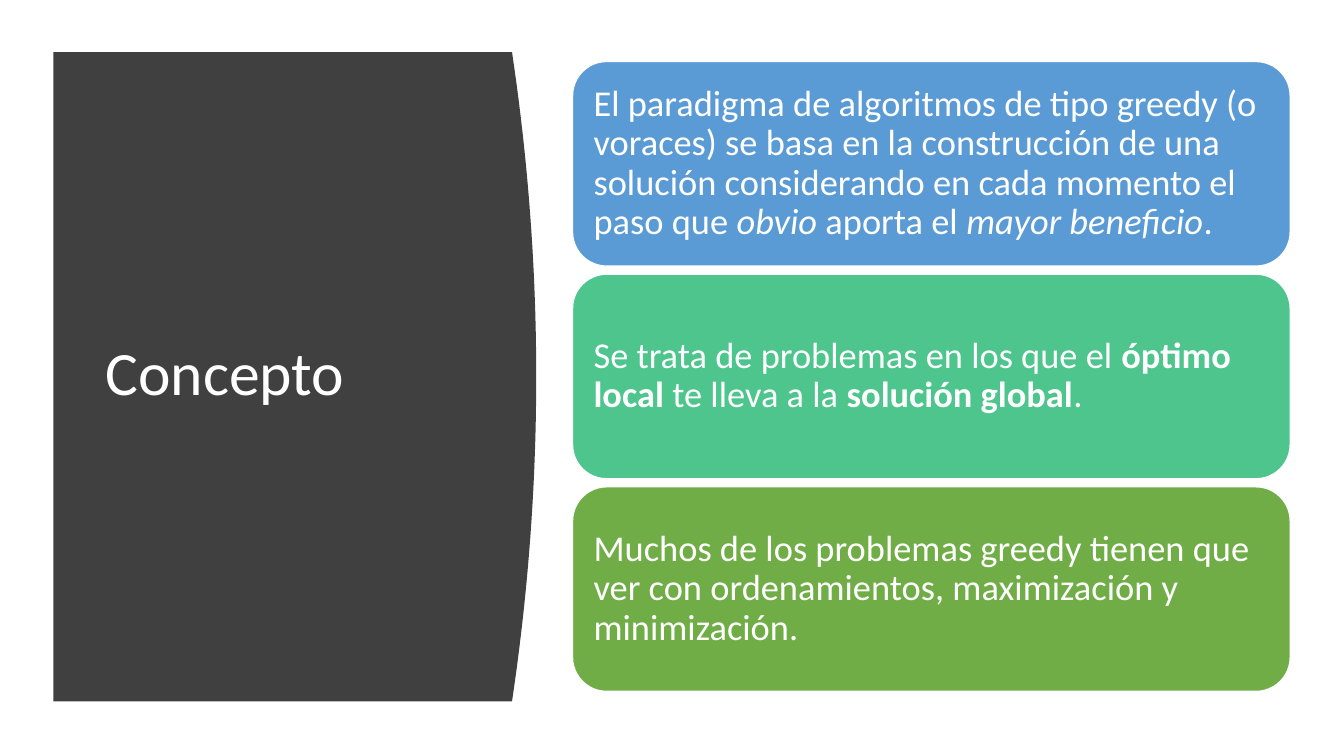
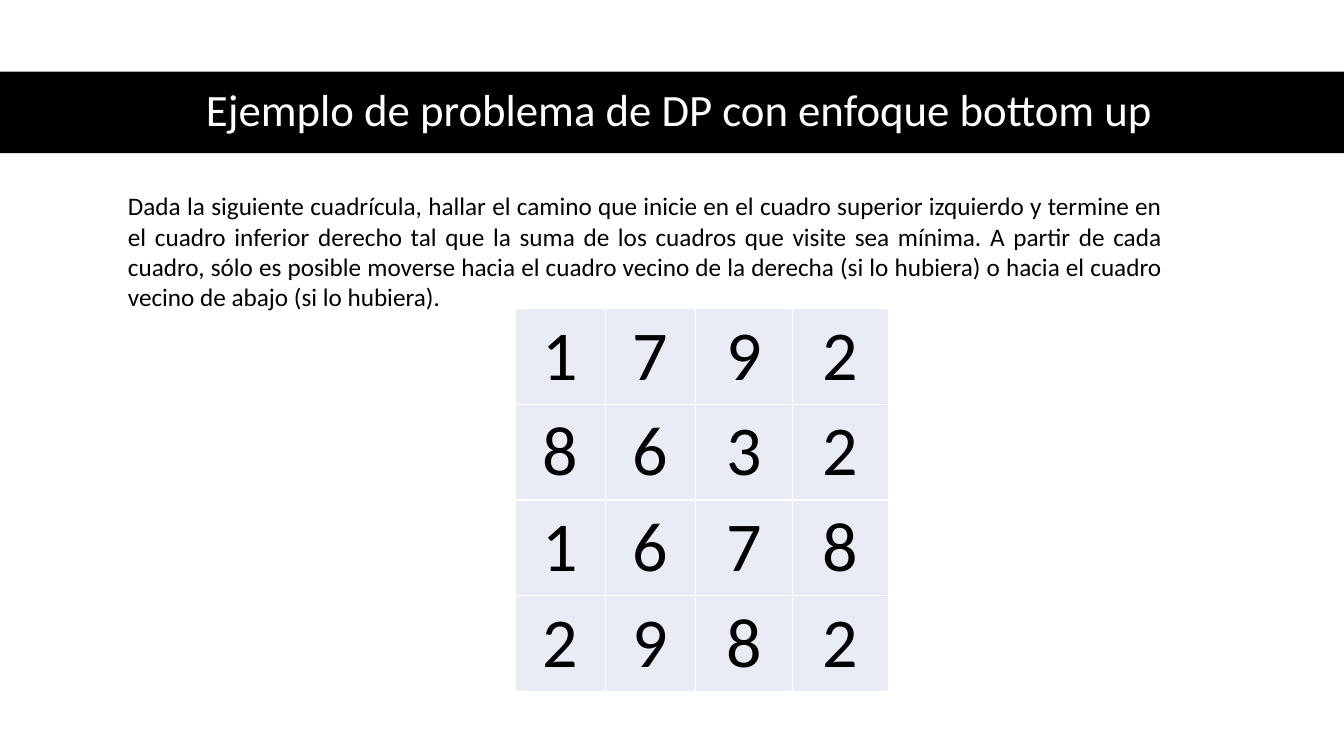
from lxml.etree import SubElement
from pptx import Presentation
from pptx.dml.color import RGBColor
from pptx.enum.shapes import MSO_SHAPE as Shape
from pptx.enum.text import MSO_ANCHOR as Anchor, MSO_AUTO_SIZE as AutoSize, PP_ALIGN as Align
from pptx.oxml.ns import qn
from pptx.util import Inches, Pt

SLIDE_WIDTH, SLIDE_HEIGHT = Inches(13.33), Inches(7.5)
FONT = "Calibri"
WHITE = RGBColor(0xFF, 0xFF, 0xFF)
BLACK = RGBColor(0x00, 0x00, 0x00)
CHARCOAL = RGBColor(0x40, 0x40, 0x40)
BLUE = RGBColor(0x5B, 0x9B, 0xD5)
MINT = RGBColor(0x4D, 0xC5, 0x8D)
GREEN = RGBColor(0x70, 0xAD, 0x47)
PALE = RGBColor(0xE9, 0xEB, 0xF5)

CONCEPTS = [
    (BLUE, [("El paradigma de algoritmos de tipo greedy (o voraces) se basa en la "
             "construcción de una solución considerando en cada momento el paso que ", ""),
            ("obvio", "italic"), (" aporta el ", ""), ("mayor beneficio", "italic"), (".", "")]),
    (MINT, [("Se trata de problemas en los que el ", ""), ("óptimo local ", "bold"),
            ("te lleva a la ", ""), ("solución global", "bold"), (".", "")]),
    (GREEN, [("Muchos de los problemas greedy tienen que ver con ordenamientos, "
              "maximización y minimización.", "")]),
]
PROBLEM = ("Dada la siguiente cuadrícula, hallar el camino que inicie en el cuadro superior "
           "izquierdo y termine en el cuadro inferior derecho tal que la suma de los cuadros que "
           "visite sea mínima. A partir de cada cuadro, sólo es posible moverse hacia el cuadro "
           "vecino de la derecha (si lo hubiera) o hacia el cuadro vecino de abajo (si lo hubiera).")
COSTS = [[1, 7, 9, 2], [8, 6, 3, 2], [1, 6, 7, 8], [2, 9, 8, 2]]


def across(percent):
    """Return a share of the slide width."""
    return round(SLIDE_WIDTH * percent / 100)


def down(percent):
    """Return a share of the slide height."""
    return round(SLIDE_HEIGHT * percent / 100)


def area(left, top, width, height):
    """Turn percentages into a position and size."""
    return across(left), down(top), across(width), down(height)


def write(frame, runs, size, color, align=Align.LEFT, spacing=1.0):
    """Write styled runs into the first paragraph of a frame."""
    paragraph = frame.paragraphs[0]
    paragraph.alignment, paragraph.line_spacing = align, spacing
    for words, style in runs:
        run = paragraph.add_run()
        run.text = words
        run.font.name, run.font.size = FONT, Pt(size)
        run.font.color.rgb = color
        run.font.bold, run.font.italic = style == "bold", style == "italic"


def paint(shape, color, outline=None):
    """Give a shape a flat fill and an optional outline."""
    shape.shadow.inherit = False
    shape.fill.solid()
    shape.fill.fore_color.rgb = color
    if outline is None:
        shape.line.fill.background()
    else:
        shape.line.color.rgb, shape.line.width = outline, Pt(1)


def add_title(slide, words, box, size, align):
    """Place the white title over its dark backdrop."""
    title = slide.shapes.title
    title.left, title.top, title.width, title.height = box
    frame = title.text_frame
    frame.auto_size, frame.word_wrap = AutoSize.NONE, True
    frame.vertical_anchor = Anchor.MIDDLE
    write(frame, [(words, "")], size, WHITE, align, 0.9)


def add_curved_panel(slide, box, bulge, steps=40):
    """Draw a panel whose right edge bows out as a parabola."""
    left, top, width, height = box
    edge = []
    for step in range(steps + 1):
        offset = 2 * step / steps - 1
        edge.append((left + width + round(bulge * (1 - offset ** 2)),
                     top + round(height * step / steps)))
    outline = slide.shapes.build_freeform(left, top)
    outline.add_line_segments(edge + [(left, top + height)], close=True)
    paint(outline.convert_to_shape(), CHARCOAL)


def add_card(slide, box, color, runs):
    """Add a rounded card holding one idea."""
    card = slide.shapes.add_shape(Shape.ROUNDED_RECTANGLE, *box)
    paint(card, color, WHITE)
    frame = card.text_frame
    frame.word_wrap, frame.vertical_anchor = True, Anchor.MIDDLE
    frame.margin_left = frame.margin_right = Inches(0.11)
    write(frame, runs, 26, WHITE, spacing=0.9)


def add_borders(cell, color):
    """Draw a thin line on the four sides of a cell."""
    properties = cell._tc.get_or_add_tcPr()
    for side in ("a:lnL", "a:lnR", "a:lnT", "a:lnB"):
        border = SubElement(properties, qn(side), w=str(Pt(1)))
        fill = SubElement(border, qn("a:solidFill"))
        SubElement(fill, qn("a:srgbClr"), val=str(color))


def add_cost_grid(slide, left, top, widths, row_height, costs):
    """Add the table of step costs."""
    box = area(left, top, sum(widths), row_height * len(costs))
    grid = slide.shapes.add_table(len(costs), len(widths), *box).table
    grid.first_row = grid.horz_banding = False
    for column, width in zip(grid.columns, widths):
        column.width = across(width)
    for row, values in zip(grid.rows, costs):
        row.height = down(row_height)
        for cell, cost in zip(row.cells, values):
            add_borders(cell, WHITE)
            cell.fill.solid()
            cell.fill.fore_color.rgb = PALE
            write(cell.text_frame, [(str(cost), "")], 50, BLACK, Align.CENTER)


def build_concept(slide):
    """Build the slide that presents the greedy paradigm."""
    add_curved_panel(slide, area(3.97, 6.9, 34.13, 85.87), across(1.8))
    add_title(slide, "Concepto", area(7.09, 14.8, 28.05, 69.87), 44, Align.LEFT)
    for index, (color, runs) in enumerate(CONCEPTS):
        add_card(slide, area(42.6, 8.13 + 28.13 * index, 53.4, 27.07), color, runs)


def build_example(slide):
    """Build the slide with the minimum path problem."""
    band = slide.shapes.add_shape(Shape.RECTANGLE, *area(0, 9.47, 100, 10.8))
    paint(band, BLACK)
    add_title(slide, "Ejemplo de problema de DP con enfoque bottom up",
              area(4.58, 9.4, 91.95, 10.8), 32, Align.CENTER)
    add_cost_grid(slide, 38.33, 40.8, [6.72, 6.72, 7.17, 7.2], 12.67, COSTS)
    statement = slide.shapes.add_textbox(*area(8.78, 24.57, 78.45, 17.47)).text_frame
    statement.word_wrap = True
    write(statement, [(PROBLEM, "")], 18, BLACK, Align.JUSTIFY)


def main():
    """Build and save the presentation."""
    deck = Presentation()
    deck.slide_width, deck.slide_height = SLIDE_WIDTH, SLIDE_HEIGHT
    for build in (build_concept, build_example):
        slide = deck.slides.add_slide(deck.slide_layouts[5])
        title = slide.shapes.title
        build(slide)
        backdrop = slide.shapes[1]
        title._element.addprevious(backdrop._element)
    deck.save("out.pptx")


if __name__ == "__main__":
    main()
